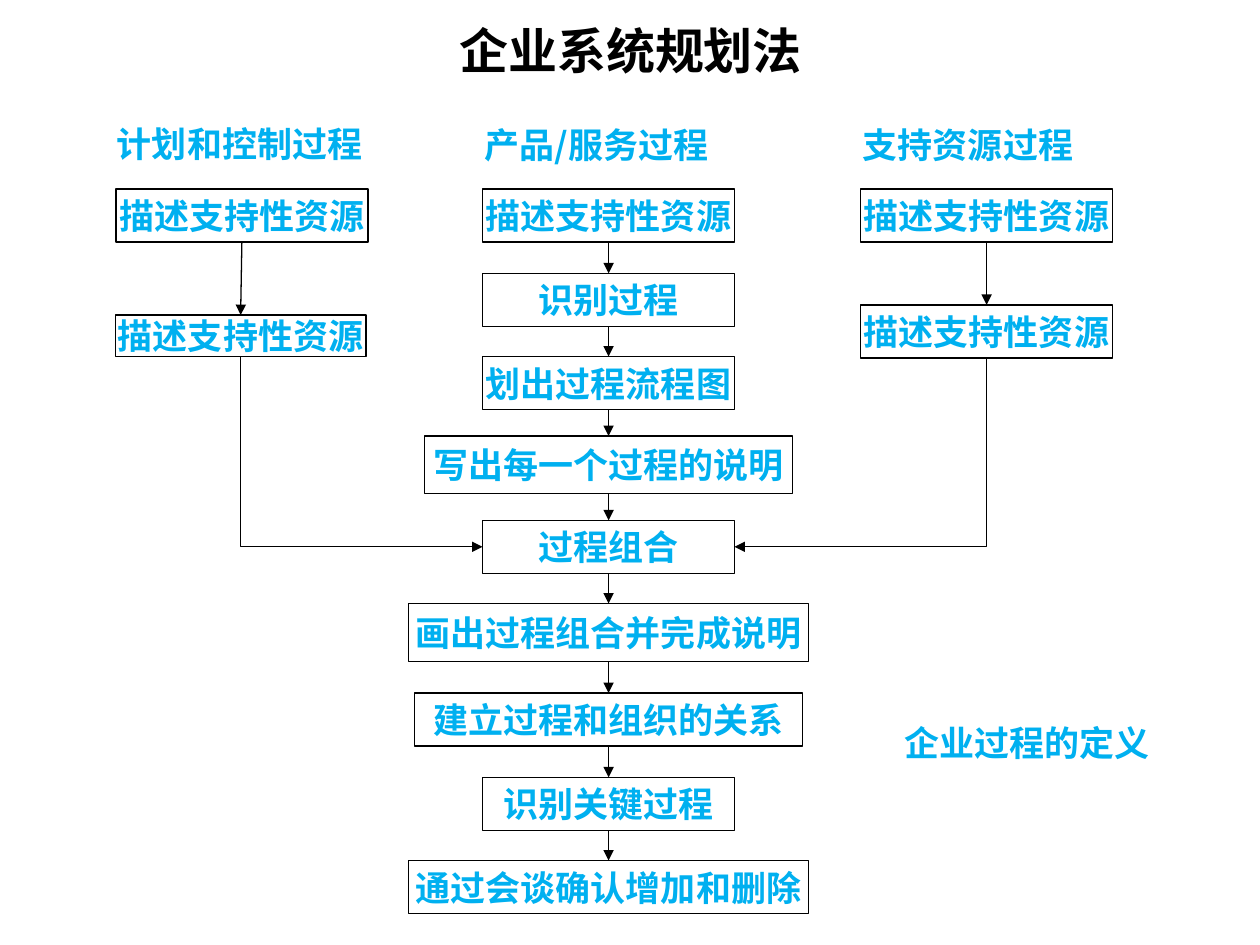
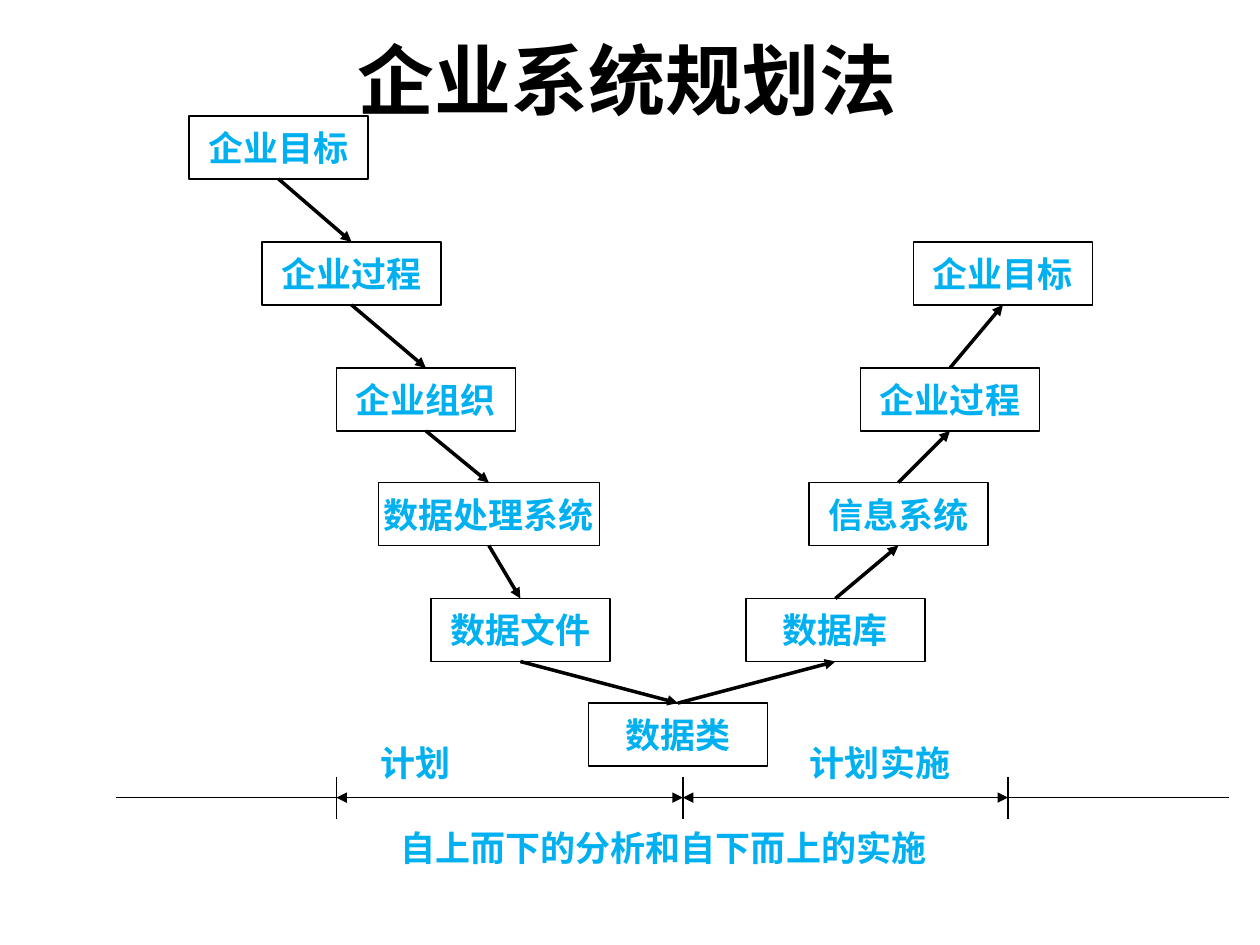
from itertools import pairwise

from pptx import Presentation
from pptx import util as u
from pptx.dml import color
from pptx.enum import shapes, text
from pptx.oxml import ns, xmlchemy

INK, SKY = "000000", "00B0F0"
SANS = "Noto Sans CJK SC"
TITLE = "企业系统规划法"
TOP, LEFT, BOTTOM, RIGHT = range(4)


def tint(code):
    return color.RGBColor.from_string(code)


def write(shape, words, size=20, hue=SKY, face=SANS, center=True, wrap=True):
    frame = shape.text_frame
    frame.word_wrap = wrap
    frame.vertical_anchor = text.MSO_ANCHOR.MIDDLE
    para = frame.paragraphs[0]
    para.text = words
    para.alignment = text.PP_ALIGN.CENTER if center else text.PP_ALIGN.LEFT
    para.font.name = face
    para.font.size = u.Pt(size)
    para.font.bold = True
    para.font.color.rgb = tint(hue)


def add_title(slide, place, size, face):
    box = slide.shapes.add_textbox(*map(u.Inches, place))
    write(box, TITLE, size, INK, face)


def add_label(slide, words, left, top, width):
    box = slide.shapes.add_textbox(*map(u.Inches, (left, top, width, 0.44)))
    write(box, words, center=False)


def add_box(slide, words, mid, top, width, height):
    place = map(u.Inches, (mid - width / 2, top, width, height))
    box = slide.shapes.add_shape(shapes.MSO_SHAPE.FLOWCHART_PROCESS, *place)
    box.shadow.inherit = False
    box.fill.background()
    box.line.color.rgb = tint(INK)
    box.line.width = u.Pt(0.75)
    write(box, words, wrap=False)
    return box


def add_line(slide, start, end, ends=(), weight=0.75, kind="STRAIGHT"):
    points = map(u.Inches, (*start, *end))
    line = slide.shapes.add_connector(shapes.MSO_CONNECTOR[kind], *points)
    line.line.color.rgb = tint(INK)
    line.line.width = u.Pt(weight)
    props = line.element.spPr
    stroke = props.find(ns.qn("a:ln"))
    for end_name in ends:
        tip = xmlchemy.OxmlElement(f"a:{end_name}")
        tip.set("type", "triangle")
        stroke.append(tip)
    props.append(xmlchemy.OxmlElement("a:effectLst"))
    return line


def link(slide, first, last, out=BOTTOM, into=TOP, weight=0.75):
    line = add_line(slide, (0, 0), (1, 1), ["tailEnd"], weight)
    line.begin_connect(first, out)
    line.end_connect(last, into)


def bend(slide, source, target, side):
    line = add_line(slide, (0, 0), (1, 1), ["headEnd"], kind="ELBOW")
    line.begin_connect(target, side)
    line.end_connect(source, BOTTOM)
    line.element.spPr.find(ns.qn("a:prstGeom")).set("prst", "bentConnector2")


def draw_steps(slide):
    add_title(slide, (0.59, -0.19, 8.83, 1.17), 28, SANS)
    for label in (
        ("计划和控制过程", 0.83, 0.92, 2.17),
        ("产品/服务过程", 3.75, 0.93, 2.17),
        ("支持资源过程", 6.75, 0.93, 2.17),
        ("企业过程的定义", 7.08, 5.67, 2.17),
    ):
        add_label(slide, *label)

    steps = (
        ("描述支持性资源", 1.5, 2, 0.42),
        ("识别过程", 2.17, 2, 0.42),
        ("划出过程流程图", 2.83, 2, 0.42),
        ("写出每一个过程的说明", 3.46, 2.92, 0.46),
        ("过程组合", 4.13, 2, 0.42),
        ("画出过程组合并完成说明", 4.79, 3.17, 0.46),
        ("建立过程和组织的关系", 5.5, 3.08, 0.42),
        ("识别关键过程", 6.17, 2, 0.42),
        ("通过会谈确认增加和删除", 6.83, 3.17, 0.42),
    )
    chain = [add_box(slide, words, 4.83, *rest) for words, *rest in steps]
    for pair in pairwise(chain):
        link(slide, *pair)

    merge = chain[4]
    support = steps[0][0]
    for side, head, tail in (
        (LEFT, (1.92, 1.5, 2, 0.42), (1.91, 2.5, 1.99, 0.33)),
        (RIGHT, (7.83, 1.5, 2, 0.42), (7.83, 2.42, 2, 0.42)),
    ):
        first = add_box(slide, support, *head)
        last = add_box(slide, support, *tail)
        link(slide, first, last)
        bend(slide, last, merge, side)


def draw_scale(slide):
    axis, marks = 6.33, (2.67, 5.42, 8)
    for start, end in ((0.92, marks[0]), (marks[-1], 9.75)):
        add_line(slide, (start, axis), (end, axis))
    for mark in marks:
        add_line(slide, (mark, 6.17), (mark, 6.5))
    for start, end in pairwise(marks):
        add_line(slide, (start, axis), (end, axis), ("headEnd", "tailEnd"))
    add_label(slide, "计划", 2.92, 5.83, 1)
    add_label(slide, "计划实施", 6.33, 5.83, 1.67)
    add_label(slide, "自上而下的分析和自下而上的实施", 3.08, 6.51, 4.67)


def draw_valley(slide):
    add_title(slide, (0.42, 0, 9.11, 1.25), 44, "Calibri")
    down = (
        ("企业目标", 2.21, 0.92, 1.42),
        ("企业过程", 2.79, 1.92, 1.42),
        ("企业组织", 3.38, 2.92, 1.42),
        ("数据处理系统", 3.88, 3.83, 1.75),
        ("数据文件", 4.13, 4.75, 1.42),
        ("数据类", 5.38, 5.58, 1.42),
    )
    rise = (
        ("数据库", 6.63, 4.75, 1.42),
        ("信息系统", 7.13, 3.83, 1.42),
        ("企业过程", 7.54, 2.92, 1.42),
        ("企业目标", 7.96, 1.92, 1.42),
    )
    left = [add_box(slide, *item, 0.5) for item in down]
    right = [add_box(slide, *item, 0.5) for item in rise]
    draw_scale(slide)
    for pair in pairwise(left):
        link(slide, *pair, weight=2)
    for pair in pairwise([left[-1], *right]):
        link(slide, *pair, TOP, BOTTOM, weight=2)


def main():
    deck = Presentation()
    deck.slide_width = u.Inches(10)
    deck.slide_height = u.Inches(7.5)
    for draw in (draw_steps, draw_valley):
        draw(deck.slides.add_slide(deck.slide_layouts[6]))
    deck.save("out.pptx")


if __name__ == "__main__":
    main()
